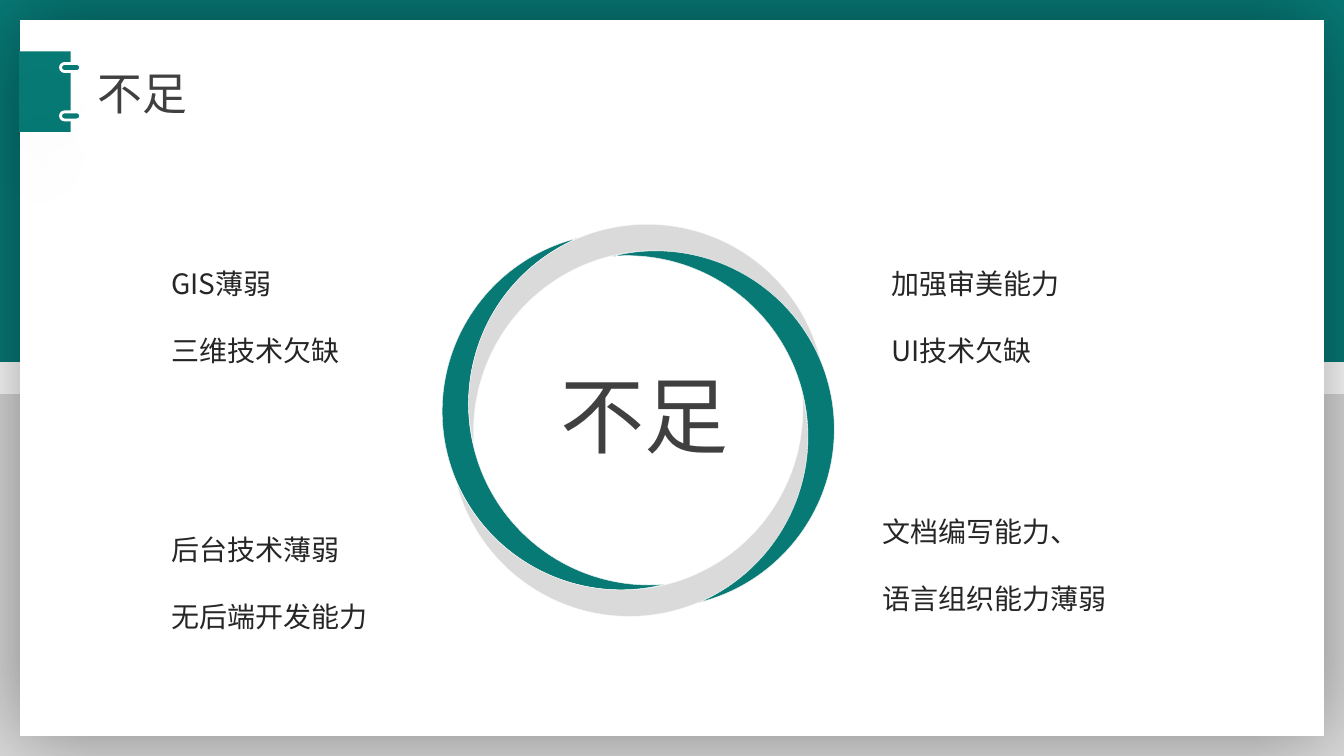
import math

import lxml.etree
import pptx
import pptx.dml.color
import pptx.enum.shapes
import pptx.enum.text
import pptx.oxml.ns
import pptx.util

Inches = pptx.util.Inches
Pt = pptx.util.Pt
qn = pptx.oxml.ns.qn
MSO_SHAPE = pptx.enum.shapes.MSO_SHAPE

COLORS = {
    "teal": "077A76",
    "gray": "DADADA",
    "white": "FFFFFF",
    "moon edge": "F8F8F8",
    "heading": "404040",
    "body": "262626",
    "shadow": "000000",
}

presentation = pptx.Presentation()
presentation.slide_width = Inches(13.33)
presentation.slide_height = Inches(7.5)
slide = presentation.slides.add_slide(presentation.slide_layouts[6])


def add_filled_shape(kind, left, top, width, height, fill, line=None, line_width=0, shadow=None):
    """Add a preset shape; shadow is (opacity %, blur pt, distance pt, direction degrees)."""
    shape = slide.shapes.add_shape(kind, Inches(left), Inches(top), Inches(width), Inches(height))
    shape.shadow.inherit = False
    shape.fill.solid()
    shape.fill.fore_color.rgb = pptx.dml.color.RGBColor.from_string(COLORS[fill])
    if line:
        shape.line.color.rgb = pptx.dml.color.RGBColor.from_string(COLORS[line])
        shape.line.width = Pt(line_width)
    else:
        shape.line.fill.background()
    if shadow:
        opacity, blur, distance, direction = shadow
        effects = shape._element.spPr.find(qn("a:effectLst"))
        outer = lxml.etree.SubElement(
            effects, qn("a:outerShdw"), blurRad=str(Pt(blur)), dist=str(Pt(distance)),
            dir=str(direction * 60000), algn="ctr", rotWithShape="0")
        color = lxml.etree.SubElement(outer, qn("a:srgbClr"), val=COLORS["shadow"])
        lxml.etree.SubElement(color, qn("a:alpha"), val=str(opacity * 1000))
    return shape


def add_text(lines, left, top, width, height, size=20, color="body",
             font="Noto Sans CJK SC", line_spacing=1.0):
    box = slide.shapes.add_textbox(Inches(left), Inches(top), Inches(width), Inches(height))
    frame = box.text_frame
    frame.word_wrap = True
    frame.auto_size = pptx.enum.text.MSO_AUTO_SIZE.SHAPE_TO_FIT_TEXT
    for index, line in enumerate(lines):
        paragraph = frame.add_paragraph() if index else frame.paragraphs[0]
        paragraph.line_spacing = line_spacing
        run = paragraph.add_run()
        run.text = line
        run.font.size = Pt(size)
        run.font.name = font
        run.font.color.rgb = pptx.dml.color.RGBColor.from_string(COLORS[color])
        lxml.etree.SubElement(run.font._element, qn("a:ea"), typeface=font)


# Backdrop bands and the white page
add_filled_shape(MSO_SHAPE.RECTANGLE, 0, 0, 13.33, 3.59, "teal")
add_filled_shape(MSO_SHAPE.RECTANGLE, 0, 3.91, 13.33, 3.59, "gray")
add_filled_shape(MSO_SHAPE.RECTANGLE, 0.2, 0.2, 12.93, 7.1, "white", shadow=(40, 63, 0, 260))

# Title tab with two binder clips
add_filled_shape(MSO_SHAPE.RECTANGLE, 0.19, 0.51, 0.51, 0.8, "teal")
for clip_top in (0.57, 1.05):
    clip = add_filled_shape(MSO_SHAPE.ROUNDED_RECTANGLE, 0.66, clip_top, 0.08, 0.2, "teal",
                            line="white", line_width=2, shadow=(13, 45, 38, 125))
    clip.adjustments[0] = 0.5
    clip.rotation = 90

# Ring of four moons, each a quarter turn around the centre
RING_X, RING_Y, RING_RADIUS = 6.33, 4.17, 1.04
MOON_WIDTH, MOON_HEIGHT = 1.77, 3.54
for turn, fill in ((0, "teal"), (90, "gray"), (270, "gray"), (180, "teal")):
    angle = math.radians(turn - 7)
    center_x = RING_X - RING_RADIUS * math.cos(angle)
    center_y = RING_Y - RING_RADIUS * math.sin(angle)
    moon = add_filled_shape(MSO_SHAPE.MOON, center_x - MOON_WIDTH / 2, center_y - MOON_HEIGHT / 2,
                            MOON_WIDTH, MOON_HEIGHT, fill, line="moon edge", line_width=0.25)
    moon.adjustments[0] = 0.152
    moon.rotation = (turn - 14.1) % 360

# Shortcomings around the ring
for lines, left, top, width, height in (
    (("GIS薄弱", "三维技术欠缺"), 1.6, 2.26, 3.02, 1.35),
    (("加强审美能力", "UI技术欠缺"), 8.74, 2.26, 3.56, 1.35),
    (("后台技术薄弱", "无后端开发能力"), 1.6, 4.9, 3.02, 1.45),
    (("文档编写能力、", "语言组织能力薄弱"), 8.65, 4.72, 4.45, 1.35),
):
    add_text(lines, left, top, width, height, line_spacing=2.0)

add_text(["不足"], 0.87, 0.6, 4.48, 0.64, size=32, color="heading")
add_text(["不足"], 5.46, 3.56, 1.9, 1.11, size=60, color="heading", font="Noto Sans CJK JP")

presentation.save("out.pptx")
